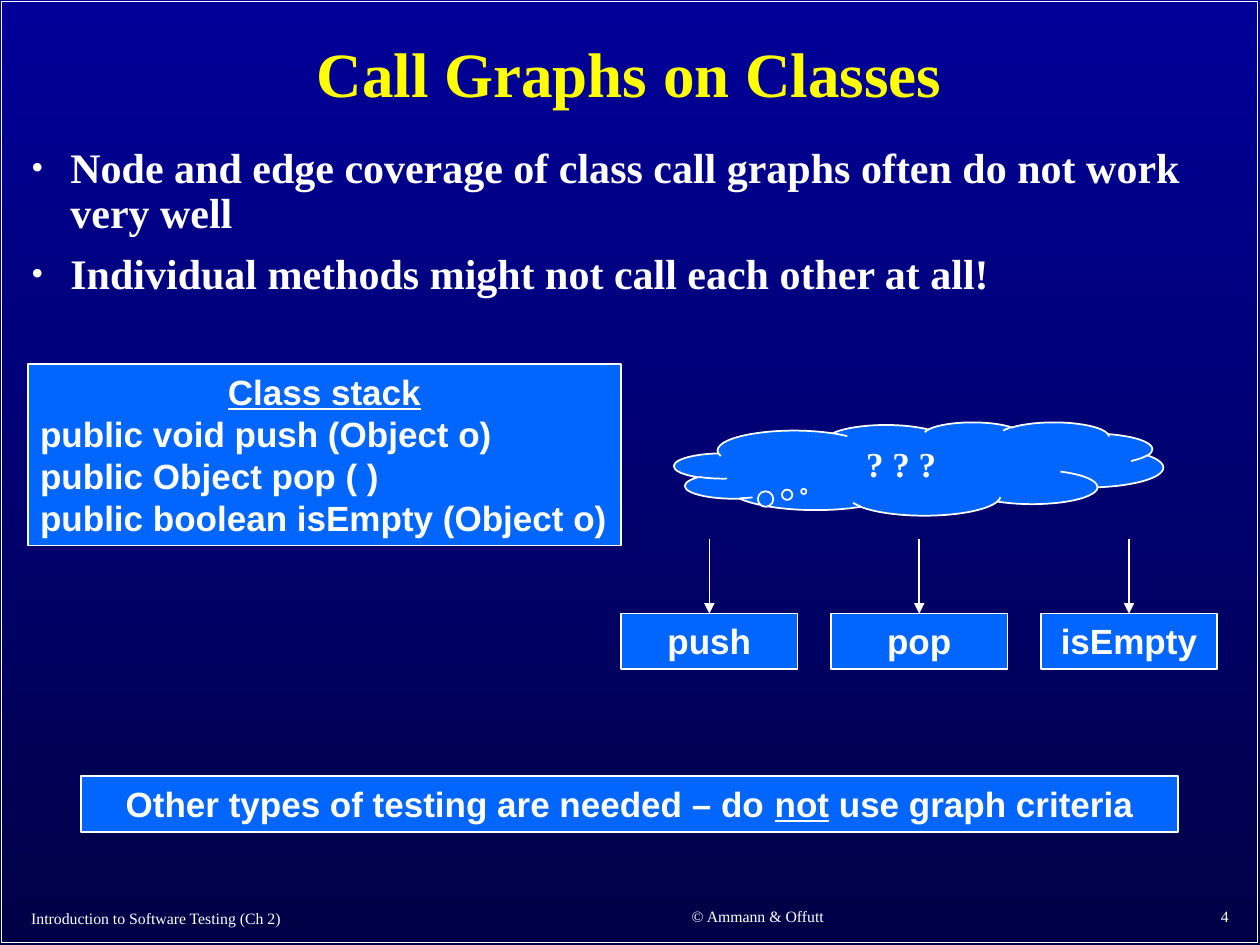
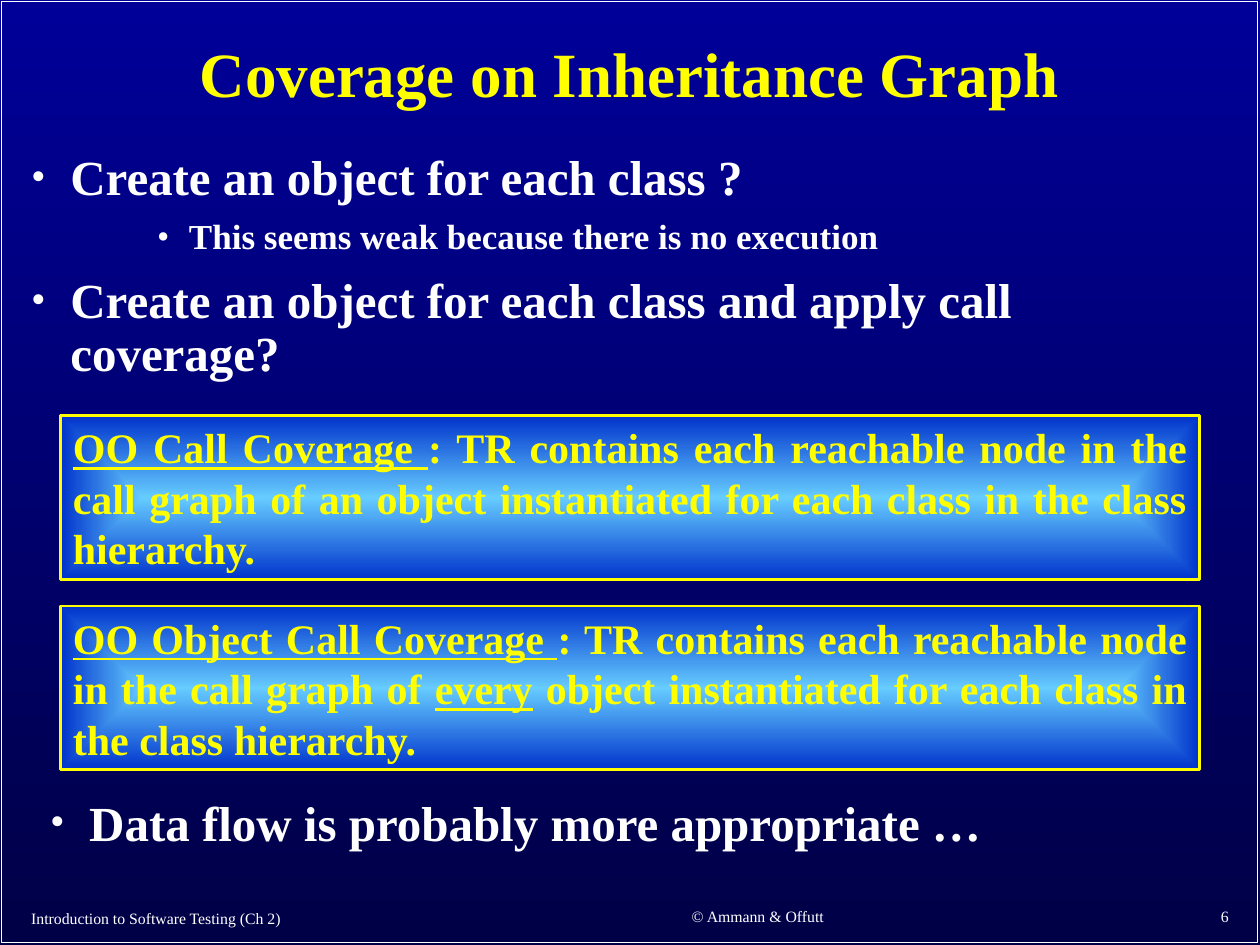
from dataclasses import dataclass
from functools import partial
from typing import Optional, Sequence

from lxml.etree import SubElement
from pptx import Presentation
from pptx.dml.color import RGBColor
from pptx.enum.shapes import MSO_CONNECTOR, MSO_SHAPE
from pptx.enum.text import MSO_ANCHOR, MSO_AUTO_SIZE, PP_ALIGN
from pptx.oxml.ns import qn
from pptx.util import Cm, Pt

WHITE = RGBColor(0xFF, 0xFF, 0xFF)
YELLOW = RGBColor(0xFF, 0xFF, 0x00)
NAVY = RGBColor(0x00, 0x00, 0x99)
MIDNIGHT = RGBColor(0x00, 0x00, 0x47)
BOX_BLUE = RGBColor(0x00, 0x66, 0xFF)
GLOW = RGBColor(0x66, 0xCC, 0xFF)
ROYAL = RGBColor(0x00, 0x33, 0xCC)
SERIF = "Times New Roman"
SANS = "Arial"


@dataclass(frozen=True)
class Area:
    """Left, top, width and height in centimetres."""
    left: float
    top: float
    width: float
    height: float

    def lengths(self) -> tuple:
        return Cm(self.left), Cm(self.top), Cm(self.width), Cm(self.height)


@dataclass(frozen=True)
class Bullet:
    margin: float
    hanging: float
    percent: int
    level: int = 0


@dataclass(frozen=True)
class Line:
    """One paragraph; text between underscores is underlined."""
    text: str
    size: float
    font: str = SERIF
    color: RGBColor = WHITE
    bold: bool = True
    align: PP_ALIGN = PP_ALIGN.LEFT
    spacing: Optional[float] = None
    before: float = 0
    bullet: Optional[Bullet] = None


MAIN = Bullet(0.79, 0.79, 85)
DETAIL = Bullet(3.18, 0.64, 100, level=2)

title_line = partial(Line, size=36, color=YELLOW, align=PP_ALIGN.CENTER, spacing=0.9)
point = partial(Line, spacing=0.9, bullet=MAIN)
code = partial(Line, size=20, font=SANS)
label = partial(code, align=PP_ALIGN.CENTER)
criterion = partial(Line, size=24, color=YELLOW, align=PP_ALIGN.JUSTIFY)
small = partial(Line, size=9, bold=False)

TITLE_AREA = Area(0.33, 0.28, 24.71, 2.54)
FRAME = Area(0.03, 0.03, 25.32, 18.97)
COURSE_AREA = Area(0.38, 18.03, 10.44, 0.97)
COPYRIGHT_AREA = Area(11.25, 17.98, 8.05, 0.99)
NUMBER_AREA = Area(19.74, 17.96, 5.28, 1.02)


def add_bullet(paragraph, bullet: Bullet) -> None:
    paragraph.level = bullet.level
    props = paragraph._p.get_or_add_pPr()
    props.set("marL", str(Cm(bullet.margin)))
    props.set("indent", str(-Cm(bullet.hanging)))
    color = SubElement(props, qn("a:buClr"))
    SubElement(color, qn("a:srgbClr"), val=str(WHITE))
    SubElement(props, qn("a:buSzPct"), val=str(bullet.percent * 1000))
    SubElement(props, qn("a:buFont"), typeface=SERIF)
    SubElement(props, qn("a:buChar"), char="•")


def write(frame, lines: Sequence[Line], anchor=MSO_ANCHOR.TOP) -> None:
    frame.word_wrap = True
    frame.auto_size = MSO_AUTO_SIZE.NONE
    frame.vertical_anchor = anchor
    for index, line in enumerate(lines):
        paragraph = frame.add_paragraph() if index else frame.paragraphs[0]
        if line.bullet:
            add_bullet(paragraph, line.bullet)
        paragraph.alignment = line.align
        paragraph.space_before = Pt(line.before)
        if line.spacing:
            paragraph.line_spacing = line.spacing
        for part, text in enumerate(line.text.split("_")):
            if not text:
                continue
            run = paragraph.add_run()
            run.text = text
            run.font.name = line.font
            run.font.size = Pt(line.size)
            run.font.bold = line.bold
            run.font.color.rgb = line.color
            run.font.underline = part % 2 == 1


def add_text(slide, area: Area, lines: Sequence[Line], anchor=MSO_ANCHOR.TOP) -> None:
    write(slide.shapes.add_textbox(*area.lengths()).text_frame, lines, anchor)


def add_box(slide, area: Area, lines: Sequence[Line] = (), fill=BOX_BLUE,
            outline=WHITE, weight: float = 1, kind=MSO_SHAPE.RECTANGLE):
    box = slide.shapes.add_shape(kind, *area.lengths())
    box.shadow.inherit = False
    if fill is None:
        box.fill.background()
    else:
        box.fill.solid()
        box.fill.fore_color.rgb = fill
    box.line.color.rgb = outline
    box.line.width = Pt(weight)
    write(box.text_frame, lines)
    return box


def fill_gradient(fill, start: RGBColor, end: RGBColor) -> None:
    fill.gradient()
    for stop, color, position in zip(fill.gradient_stops, (start, end), (0, 1)):
        stop.color.rgb = color
        stop.position = position


def add_criterion(slide, top: float, text: str) -> None:
    """Yellow-framed definition that glows from its centre."""
    box = add_box(slide, Area(1.22, top, 22.96, 3.3), [criterion(text)],
                  outline=YELLOW, weight=1.5)
    fill_gradient(box.fill, GLOW, ROYAL)
    gradient = box.element.spPr.find(qn("a:gradFill"))
    gradient.remove(gradient.find(qn("a:lin")))
    rectangular = SubElement(gradient, qn("a:path"), path="rect")
    SubElement(rectangular, qn("a:fillToRect"),
               {side: "50000" for side in "ltrb"})


def add_arrow_to(slide, target, start_top: float) -> None:
    """Vertical arrow that ends at the top of the target box."""
    center = target.left + target.width // 2
    arrow = slide.shapes.add_connector(
        MSO_CONNECTOR.STRAIGHT, center, Cm(start_top), center, target.top)
    arrow.end_connect(target, 0)
    arrow.line.color.rgb = WHITE
    arrow.line.width = Pt(1)
    props = arrow.element.spPr
    SubElement(props.find(qn("a:ln")), qn("a:tailEnd"), type="triangle")
    SubElement(props, qn("a:effectLst"))


def add_slide(prs, title: str, number: int):
    slide = prs.slides.add_slide(prs.slide_layouts[5])
    add_box(slide, FRAME, fill=None)
    heading = slide.shapes.title
    heading.left, heading.top, heading.width, heading.height = TITLE_AREA.lengths()
    write(heading.text_frame, [title_line(title)], MSO_ANCHOR.MIDDLE)
    for area, text, align in (
        (COURSE_AREA, "Introduction to Software Testing (Ch 2)", PP_ALIGN.LEFT),
        (COPYRIGHT_AREA, "© Ammann & Offutt", PP_ALIGN.CENTER),
        (NUMBER_AREA, str(number), PP_ALIGN.RIGHT),
    ):
        add_text(slide, area, [small(text, align=align)], MSO_ANCHOR.MIDDLE)
    return slide


def build_call_graphs(prs) -> None:
    slide = add_slide(prs, "Call Graphs on Classes", 4)
    add_text(slide, Area(0.38, 2.84, 24.64, 4.32), [
        point("Node and edge coverage of class call graphs often do not work very well",
              size=24),
        point("Individual methods might not call each other at all!", size=24, before=9),
    ])
    add_box(slide, Area(0.56, 7.34, 11.96, 3.66), [
        label("_Class stack_"),
        code("public void push (Object o)"),
        code("public Object pop ( )"),
        code("public boolean isEmpty (Object o)"),
    ])
    add_box(slide, Area(1.63, 15.65, 22.12, 1.12),
            [label("Other types of testing are needed – do _not_ use graph criteria")])
    for column, method in enumerate(("push", "pop", "isEmpty")):
        method_box = add_box(slide, Area(12.52 + 4.23 * column, 12.37, 3.56, 1.12),
                             [label(method)])
        add_arrow_to(slide, method_box, 10.87)
    cloud = add_box(slide, Area(13.59, 8.51, 9.86, 1.88),
                    [label("? ? ?", font=SERIF)], kind=MSO_SHAPE.CLOUD_CALLOUT)
    cloud.adjustments[0] = -0.235
    cloud.adjustments[1] = 0.244


def build_inheritance_coverage(prs) -> None:
    slide = add_slide(prs, "Coverage on Inheritance Graph", 6)
    add_text(slide, Area(0.38, 2.97, 24.64, 4.93), [
        point("Create an object for each class ?", size=28),
        point("This seems weak because there is no execution", size=20,
              before=7.5, bullet=DETAIL),
        point("Create an object for each class and apply call coverage?", size=28,
              before=10.5),
    ])
    add_criterion(slide, 8.38,
                  "_OO Call Coverage _: TR contains each reachable node in the call graph "
                  "of an object instantiated for each class in the class hierarchy.")
    add_criterion(slide, 12.22,
                  "_OO Object Call Coverage _: TR contains each reachable node in the call "
                  "graph of _every_ object instantiated for each class in the class hierarchy.")
    add_text(slide, Area(0.76, 16.08, 24.64, 1.3),
             [point("Data flow is probably more appropriate …", size=28, spacing=0.8)])


def main() -> None:
    prs = Presentation()
    prs.slide_width, prs.slide_height = Cm(25.4), Cm(19.05)
    backdrop = prs.slide_master.background.fill
    fill_gradient(backdrop, NAVY, MIDNIGHT)
    backdrop.gradient_angle = 270
    build_call_graphs(prs)
    build_inheritance_coverage(prs)
    prs.save("out.pptx")


if __name__ == "__main__":
    main()
